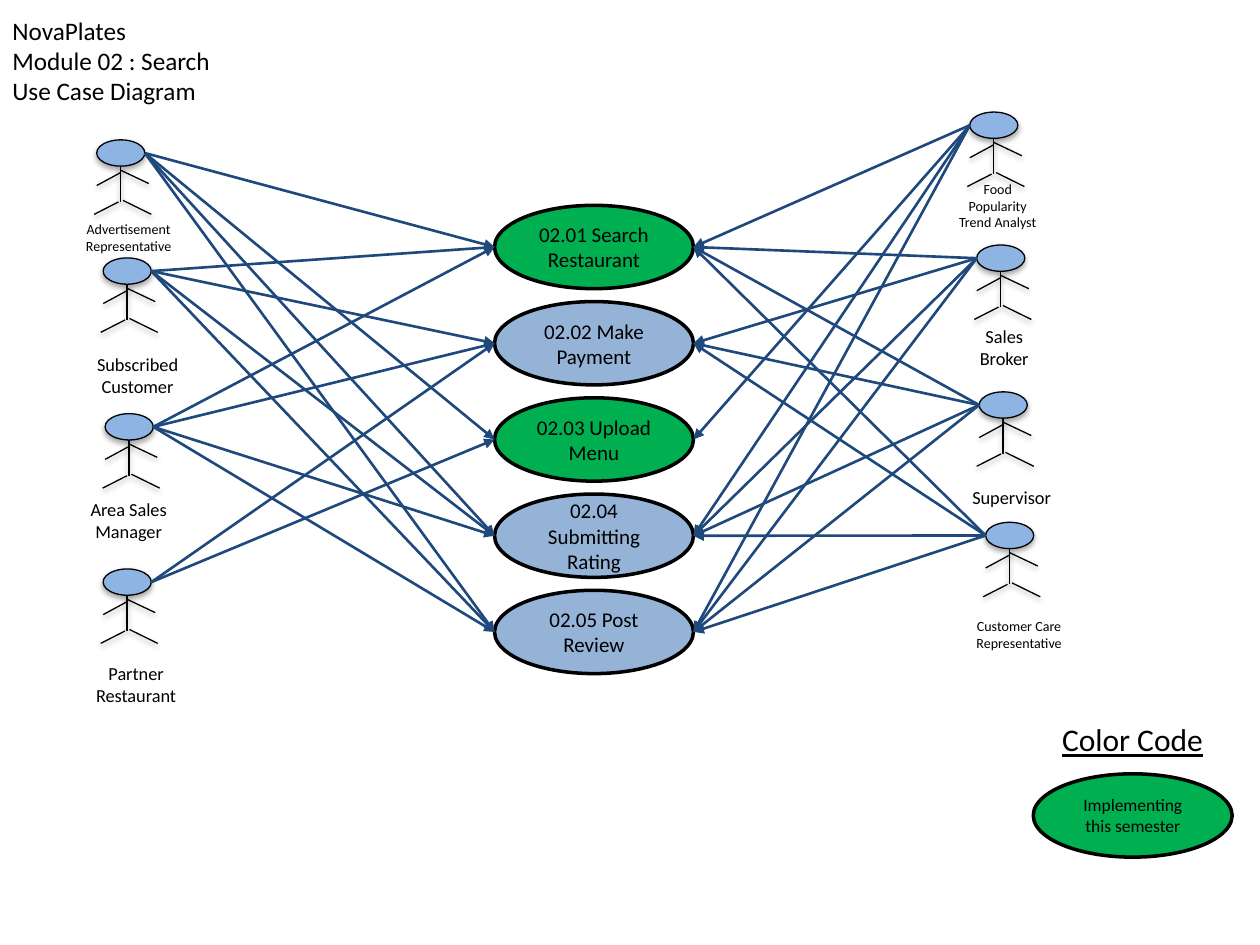
from dataclasses import dataclass

from lxml import etree
from pptx import Presentation
from pptx import util as u
from pptx.dml.color import RGBColor
from pptx.enum import shapes, text
from pptx.oxml import ns


@dataclass(frozen=True)
class Theme:
    font: str = "Calibri"
    ink: str = "000000"
    link: str = "1F497D"
    head: str = "8EB4E3"
    current: str = "00B050"
    later: str = "95B3D7"
    title: float = 14.4
    heading: float = 18
    case: float = 12
    legend: float = 10
    label: float = 10.5
    small: float = 8
    thin: float = 0.75
    arrow: float = 1.5
    outline: float = 2


class UseCaseDiagram:
    """Draws use-case elements in one theme on the current slide, in centimetres."""

    def __init__(self, s, theme):
        self.s, self.t = s, theme

    def fill_text(self, tf, content, size, align, anchor, wrap=True, underline=None):
        frame = {"word_wrap": wrap, "vertical_anchor": anchor}
        for name, value in frame.items():
            setattr(tf, name, value)
        p = tf.paragraphs[0]
        p.text = content
        p.alignment = align
        font = {"name": self.t.font, "size": u.Pt(size), "underline": underline}
        for r in p.runs:
            for name, value in font.items():
                setattr(r.font, name, value)
            r.font.color.rgb = RGBColor.from_string(self.t.ink)

    def stroke(self, sp, color, width):
        sp.line.color.rgb = RGBColor.from_string(color)
        sp.line.width = u.Pt(width)

    def shadow(self, effects, distance, alpha):
        drop = etree.SubElement(effects, ns.qn("a:outerShdw"), blurRad="40000",
                                dist=str(distance), dir="5400000", rotWithShape="0")
        color = etree.SubElement(drop, ns.qn("a:srgbClr"), val=self.t.ink)
        etree.SubElement(color, ns.qn("a:alpha"), val=str(alpha * 1000))

    def label(self, parent, box, content, size, align=text.PP_ALIGN.CENTER, **options):
        sp = parent.add_textbox(*map(u.Cm, box))
        self.fill_text(sp.text_frame, content, size, align, text.MSO_ANCHOR.TOP, **options)

    def ellipse(self, parent, box, fill, width):
        sp = parent.add_shape(shapes.MSO_SHAPE.OVAL, *map(u.Cm, box))
        sp.shadow.inherit = False
        sp.fill.solid()
        sp.fill.fore_color.rgb = RGBColor.from_string(fill)
        self.stroke(sp, self.t.ink, width)
        return sp

    def line(self, parent, start, end, color, width):
        sp = parent.add_connector(shapes.MSO_CONNECTOR.STRAIGHT, *map(u.Cm, (*start, *end)))
        self.stroke(sp, color, width)
        return sp, etree.SubElement(sp._element.spPr, ns.qn("a:effectLst"))

    def link(self, start, end):
        sp, _ = self.line(self.s.shapes, start, end, self.t.link, self.t.arrow)
        ln = sp._element.spPr.find(ns.qn("a:ln"))
        etree.SubElement(ln, ns.qn("a:tailEnd"), type="triangle")

    def use_case(self, left, top, content, fill, size):
        sp = self.ellipse(self.s.shapes, (left, top, CASE_W, CASE_H), fill, self.t.outline)
        self.fill_text(sp.text_frame, content, size, text.PP_ALIGN.CENTER,
                       text.MSO_ANCHOR.MIDDLE)

    def actor(self, left, top, label_left, label_top, content, size, rows):
        group = self.s.shapes.add_group_shape()
        head = self.ellipse(group.shapes, (left, top, HEAD_W, HEAD_H), self.t.head, self.t.thin)
        self.shadow(head._element.spPr.find(ns.qn("a:effectLst")), 23000, 35)
        for x1, y1, x2, y2 in LIMBS:
            _, effects = self.line(group.shapes, (left + x1, top + y1), (left + x2, top + y2),
                                   self.t.ink, self.t.thin)
            self.shadow(effects, 20000, 38)
        height = rows * size * 1.2 * 2.54 / 72 + 0.25
        self.label(group.shapes, (label_left, label_top, 2.29, height), content, size)


HEAD_W, HEAD_H = 0.97, 0.53
CASE_W, CASE_H = 4.01, 1.68
CASE_LEFT, CASE_TOP, CASE_STEP = 9.97, 4.14, 1.94
LIMBS = [
    (0.48, 0.53, 0.48, 1.25),
    (0.48, 0.66, 0, 0.92),
    (0.48, 0.61, 1.05, 0.88),
    (0.44, 1.25, -0.05, 1.5),
    (0.53, 1.22, 1.1, 1.5),
]

theme = Theme()
cases = [
    ("02.01 Search Restaurant", theme.current),
    ("02.02 Make Payment", theme.later),
    ("02.03 Upload Menu", theme.current),
    ("02.04 Submitting Rating", theme.later),
    ("02.05 Post Review", theme.later),
]
left_actors = [
    (1.95, 2.82, 1.45, 4.32, "Advertisement Representative", theme.small, 2, (1, 3, 4, 5)),
    (2.08, 5.2, 1.63, 6.99, "Subscribed Customer", theme.label, 2, (1, 2, 4, 5)),
    (2.12, 8.34, 1.45, 9.91, "Area Sales Manager", theme.label, 2, (1, 2, 4, 5)),
    (2.08, 11.47, 1.6, 13.23, "Partner Restaurant", theme.label, 2, (2, 3)),
]
right_actors = [
    (19.55, 2.26, 18.97, 3.51, "Food Popularity Trend Analyst", theme.small, 3, (1, 3, 4, 5)),
    (19.69, 4.94, 19.1, 6.43, "Sales Broker", theme.label, 2, (1, 2, 4, 5)),
    (19.74, 7.9, 19.25, 9.68, "Supervisor", theme.label, 1, (1, 2, 4, 5)),
    (19.87, 10.53, 19.4, 12.32, "Customer Care Representative", theme.small, 2, (1, 2, 4, 5)),
]

prs = Presentation()
prs.slide_width, prs.slide_height = u.Cm(25.4), u.Cm(19.05)
s = prs.slides.add_slide(prs.slide_layouts[6])
diagram = UseCaseDiagram(s, theme)

diagram.label(s.shapes, (0, 0.18, 11, 2.1), "NovaPlates\vModule 02 : Search\vUse Case Diagram",
              theme.title, text.PP_ALIGN.LEFT)
for i, (name, fill) in enumerate(cases):
    diagram.use_case(CASE_LEFT, CASE_TOP + i * CASE_STEP, name, fill, theme.case)

sides = [(left_actors, HEAD_W, CASE_LEFT), (right_actors, 0, CASE_LEFT + CASE_W)]
for actors, head_edge, case_edge in sides:
    for *figure, targets in actors:
        diagram.actor(*figure)
        start = (figure[0] + head_edge, figure[1] + HEAD_H / 2)
        for number in targets:
            middle = CASE_TOP + (number - 1) * CASE_STEP + CASE_H / 2
            diagram.link(start, (case_edge, middle))

diagram.label(s.shapes, (21.16, 14.4, 3.38, 1.02), "Color Code", theme.heading,
              text.PP_ALIGN.LEFT, wrap=False, underline=True)
diagram.use_case(20.83, 15.6, "Implementing this semester", theme.current, theme.legend)

prs.save("out.pptx")
